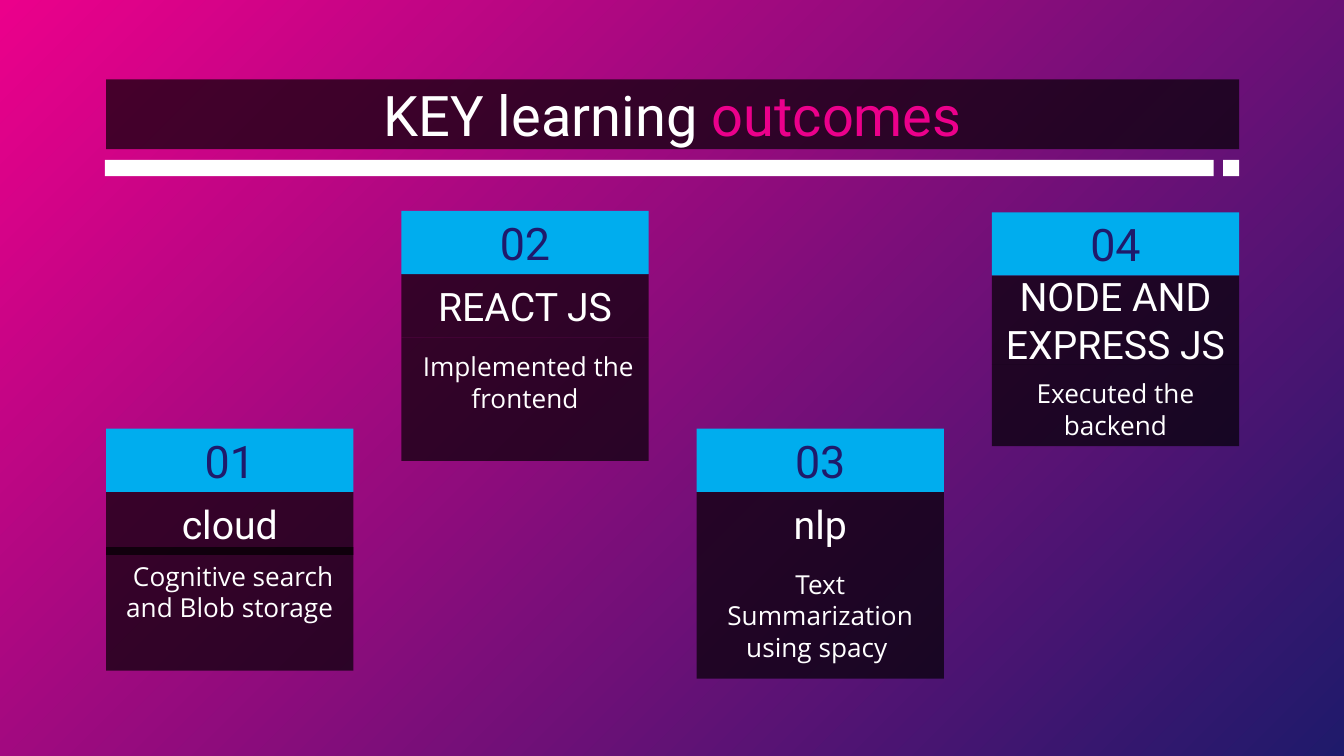
from dataclasses import dataclass

from lxml.etree import SubElement
from pptx import Presentation
from pptx.dml.color import RGBColor
from pptx.enum.shapes import MSO_SHAPE
from pptx.enum.text import MSO_ANCHOR, PP_ALIGN
from pptx.oxml.ns import qn
from pptx.util import Inches, Pt


@dataclass(frozen=True)
class Theme:
    pink: str = "EB008B"
    navy: str = "1F1A6B"
    blue: str = "00ADEE"
    white: str = "FFFFFF"
    black: str = "000000"
    panel_opacity: int = 68
    heading_font: str = "Roboto"
    body_font: str = "Open Sans"
    title_size: int = 30
    number_size: int = 24
    heading_size: int = 21
    body_size: int = 14


@dataclass(frozen=True)
class Card:
    number: str
    heading: str
    body: tuple
    top: float
    heading_height: float = 0.47
    body_height: float = 0.92
    overlap: float = 0
    space_before: float = 0


CARDS = (
    Card("01", "cloud", (" Cognitive search and Blob storage",), 3.19, overlap=0.06),
    Card("02", "REACT JS", (" Implemented the frontend",), 1.57),
    Card("03", "nlp", ("Text Summarization", "using spacy "), 3.19),
    Card("04", "NODE AND EXPRESS JS", ("Executed the backend",), 1.58,
         heading_height=0.66, body_height=0.61, space_before=10),
)
FIRST_LEFT, LAST_LEFT = 0.79, 7.38
CARD_STEP = (LAST_LEFT - FIRST_LEFT) / (len(CARDS) - 1)
CARD_WIDTH, NUMBER_HEIGHT = 1.84, 0.47


def write_text(shape, paragraphs, *, font, size, anchor=MSO_ANCHOR.MIDDLE, space_before=0):
    """Fill a shape with centred paragraphs, each a list of (text, colour) runs."""
    frame = shape.text_frame
    frame.word_wrap = True
    frame.vertical_anchor = anchor
    frame.margin_left = frame.margin_right = Inches(0.1)
    frame.margin_top = frame.margin_bottom = Inches(0.1)
    for index, runs in enumerate(paragraphs):
        paragraph = frame.add_paragraph() if index else frame.paragraphs[0]
        paragraph.alignment = PP_ALIGN.CENTER
        paragraph.space_before = Pt(space_before)
        for text, color in runs:
            run = paragraph.add_run()
            run.text = text
            run.font.name = font
            run.font.size = Pt(size)
            run.font.color.rgb = RGBColor.from_string(color)


class SlideBuilder:
    def __init__(self, slide, theme):
        self.slide = slide
        self.theme = theme

    def background(self):
        """Spread a radial gradient from the top left corner."""
        fill = self.slide.background.fill
        fill.gradient()
        for stop, color in zip(fill.gradient_stops, (self.theme.pink, self.theme.navy)):
            stop.color.rgb = RGBColor.from_string(color)
        gradient = next(self.slide.element.iter(qn("a:gradFill")))
        gradient.remove(gradient.find(qn("a:lin")))
        radial = SubElement(gradient, qn("a:path"), path="circle")
        SubElement(radial, qn("a:fillToRect"), l="0", t="0", r="100000", b="100000")

    def paint(self, shape, color, opacity=100):
        shape.fill.solid()
        shape.fill.fore_color.rgb = RGBColor.from_string(color)
        shape.line.fill.background()
        if opacity < 100:
            color_element = next(shape.element.spPr.iter(qn("a:srgbClr")))
            SubElement(color_element, qn("a:alpha"), val=str(opacity * 1000))

    def rectangle(self, left, top, width, height, color, opacity=100):
        shape = self.slide.shapes.add_shape(
            MSO_SHAPE.RECTANGLE, Inches(left), Inches(top), Inches(width), Inches(height))
        shape.shadow.inherit = False
        self.paint(shape, color, opacity)
        return shape

    def panel(self, left, top, width, height):
        return self.rectangle(left, top, width, height,
                              self.theme.black, self.theme.panel_opacity)

    def title(self, runs):
        title = self.slide.shapes.title
        title.left, title.top = Inches(0.79), Inches(0.59)
        title.width, title.height = Inches(8.43), Inches(0.52)
        self.paint(title, self.theme.black, self.theme.panel_opacity)
        write_text(title, [runs], font=self.theme.heading_font, size=self.theme.title_size)

    def underline(self):
        for left, width in ((0.78, 8.25), (9.1, 0.12)):
            self.rectangle(left, 1.19, width, 0.12, self.theme.white)

    def card(self, card, left):
        theme = self.theme
        heading_top = card.top + NUMBER_HEIGHT
        body_top = heading_top + card.heading_height - card.overlap
        heading = self.panel(left, heading_top, CARD_WIDTH, card.heading_height)
        write_text(heading, [[(card.heading, theme.white)]], font=theme.heading_font,
                   size=theme.heading_size, space_before=card.space_before)
        body = self.panel(left, body_top, CARD_WIDTH, card.body_height)
        write_text(body, [[(line, theme.white)] for line in card.body],
                   font=theme.body_font, size=theme.body_size, anchor=MSO_ANCHOR.TOP)
        number = self.rectangle(left, card.top, CARD_WIDTH, NUMBER_HEIGHT, theme.blue)
        write_text(number, [[(card.number, theme.navy)]],
                   font=theme.heading_font, size=theme.number_size)


def main():
    presentation = Presentation()
    presentation.slide_width = Inches(10)
    presentation.slide_height = Inches(10 * 9 / 16)
    theme = Theme()
    title_only = presentation.slide_layouts[5]
    builder = SlideBuilder(presentation.slides.add_slide(title_only), theme)
    builder.background()
    builder.title([("KEY learning ", theme.white), ("outcomes", theme.pink)])
    builder.underline()
    for index, card in enumerate(CARDS):
        builder.card(card, FIRST_LEFT + index * CARD_STEP)
    presentation.save("out.pptx")


if __name__ == "__main__":
    main()
